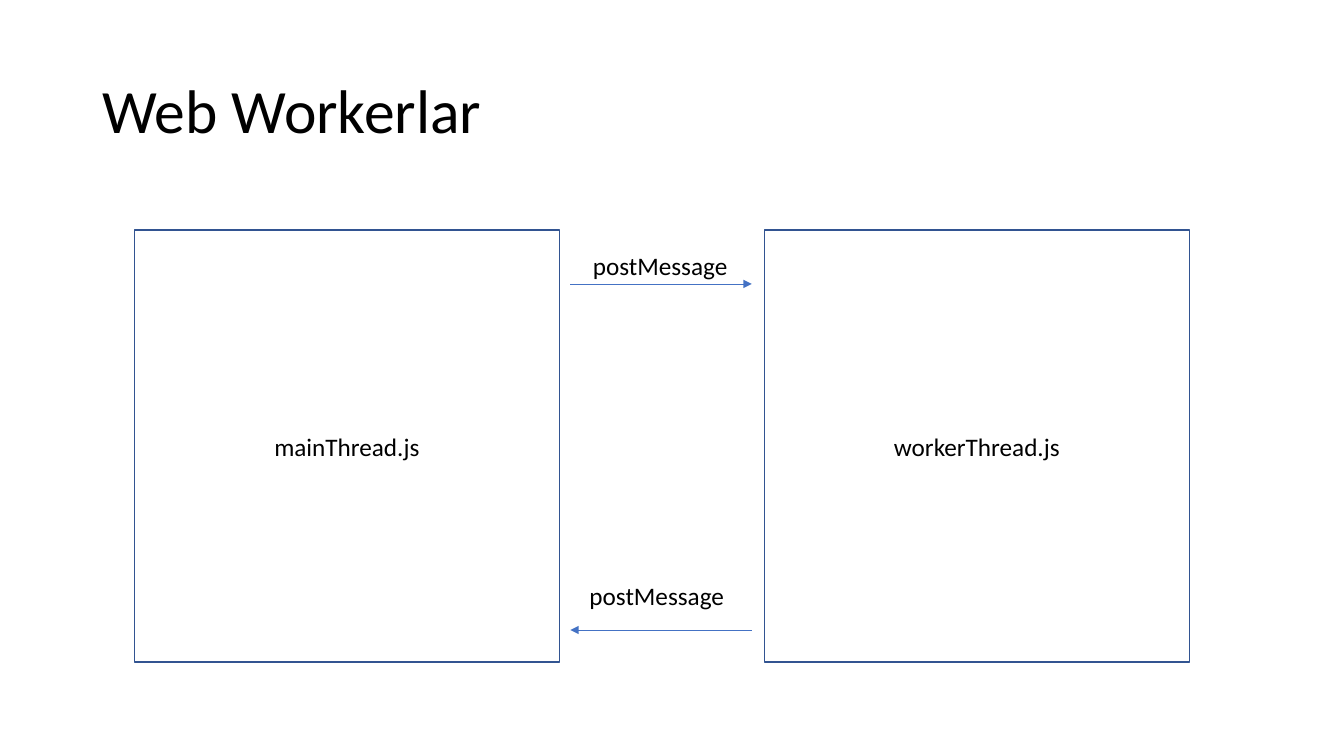
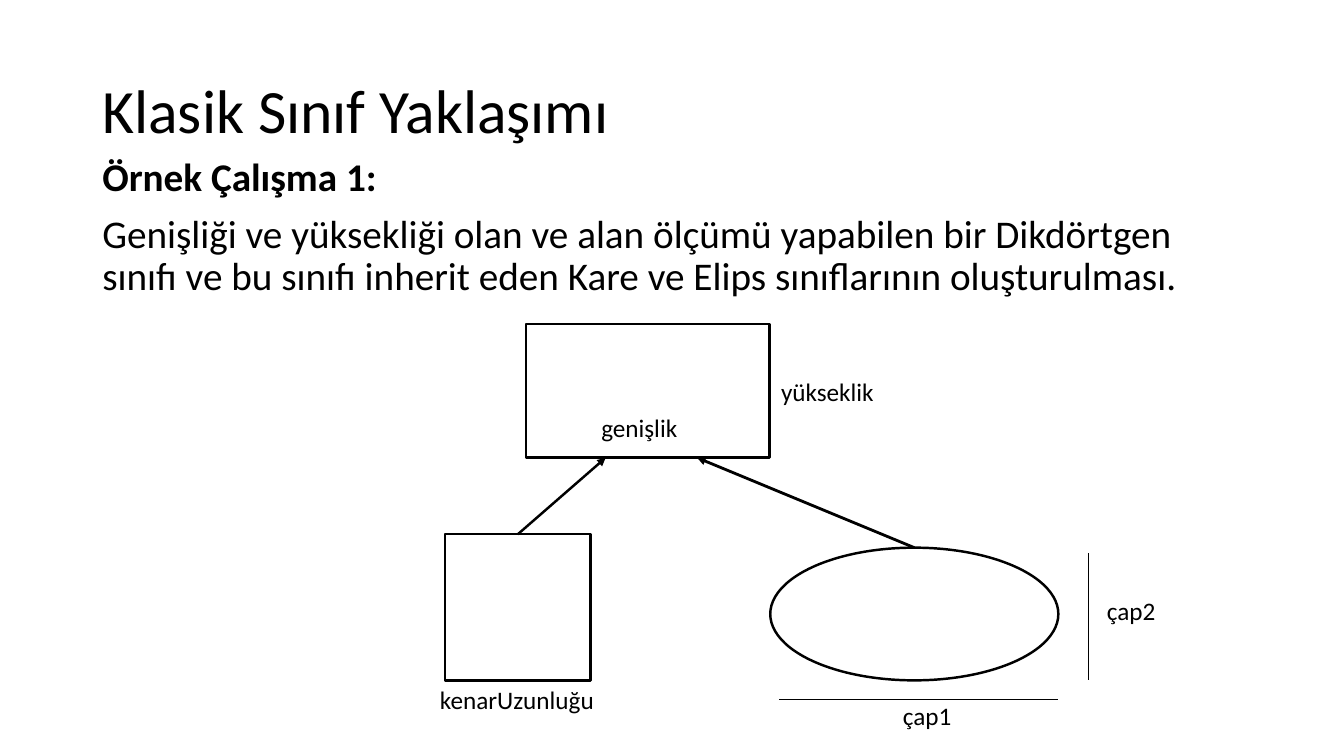
from dataclasses import dataclass

from lxml import etree
from pptx import Presentation
from pptx.dml.color import RGBColor
from pptx.enum import shapes, text
from pptx.oxml import ns
from pptx.util import Emu, Inches, Pt

# Shared style
FONT = "Calibri"
BLACK, NAVY, BLUE = "000000", "325491", "4472C4"
TITLE_SIZE, BODY_SIZE, LABEL_SIZE = 44, 28, 18
LABEL_ROWS = 4.8
THIN, THICK = 0.5, 1.75

# Grid of square cells, 160 columns by 90 rows
COLUMNS, ROWS = 160, 90
presentation = Presentation()
presentation.slide_width = Inches(13.33)
presentation.slide_height = Inches(7.5)


@dataclass(frozen=True)
class Box:
    column: float
    row: float
    columns: float
    rows: float

    @property
    def top_centre(self) -> tuple[float, float]:
        return self.column + self.columns / 2, self.row


@dataclass(frozen=True)
class Outline:
    box: Box
    kind: shapes.MSO_SHAPE = shapes.MSO_SHAPE.RECTANGLE
    color: str = BLACK
    width: float = THICK
    caption: str = ""


@dataclass(frozen=True)
class Line:
    start: tuple[float, float]
    end: tuple[float, float]
    color: str = BLACK
    width: float = THIN
    arrow: bool = False


@dataclass(frozen=True)
class Label:
    words: str
    column: float
    row: float
    columns: float


TITLE_BOX = Box(11, 4.8, 138, 17.4)
BODY_BOX = Box(11, 18.2, 138, 57.1)


# Helpers
def x(columns: float) -> Emu:
    return Emu(round(presentation.slide_width * columns / COLUMNS))


def y(rows: float) -> Emu:
    return Emu(round(presentation.slide_height * rows / ROWS))


def place(box: Box) -> tuple[Emu, Emu, Emu, Emu]:
    return x(box.column), y(box.row), x(box.columns), y(box.rows)


def rgb(color: str) -> RGBColor:
    return RGBColor.from_string(color)


def add_run(paragraph, words: str, size: float, bold: bool = False) -> None:
    run = paragraph.add_run()
    run.text = words
    run.font.name = FONT
    run.font.size = Pt(size)
    run.font.bold = bold
    run.font.color.rgb = rgb(BLACK)


def style_line(line, color: str, width: float) -> None:
    line.color.rgb = rgb(color)
    line.width = Pt(width)


# Drawing functions
def add_slide(title: str):
    slide = presentation.slides.add_slide(presentation.slide_layouts[6])
    frame = slide.shapes.add_textbox(*place(TITLE_BOX)).text_frame
    frame.word_wrap = True
    frame.vertical_anchor = text.MSO_ANCHOR.MIDDLE
    frame.paragraphs[0].line_spacing = 0.9
    add_run(frame.paragraphs[0], title, TITLE_SIZE)
    return slide


def add_body(slide, heading: str, description: str) -> None:
    frame = slide.shapes.add_textbox(*place(BODY_BOX)).text_frame
    frame.word_wrap = True
    add_run(frame.paragraphs[0], heading, BODY_SIZE, bold=True)
    add_run(frame.add_paragraph(), description, BODY_SIZE)
    for paragraph in frame.paragraphs:
        paragraph.line_spacing = 0.9
        paragraph.space_before = Pt(10)


def add_outline(slide, outline: Outline) -> None:
    shape = slide.shapes.add_shape(outline.kind, *place(outline.box))
    shape.shadow.inherit = False
    shape.fill.background()
    style_line(shape.line, outline.color, outline.width)
    if outline.caption:
        shape.text_frame.vertical_anchor = text.MSO_ANCHOR.MIDDLE
        paragraph = shape.text_frame.paragraphs[0]
        paragraph.alignment = text.PP_ALIGN.CENTER
        add_run(paragraph, outline.caption, LABEL_SIZE)


def add_line(slide, line: Line) -> None:
    (start_x, start_y), (end_x, end_y) = line.start, line.end
    connector = slide.shapes.add_connector(
        shapes.MSO_CONNECTOR.STRAIGHT, x(start_x), y(start_y), x(end_x), y(end_y))
    style_line(connector.line, line.color, line.width)
    properties = connector._element.spPr
    if line.arrow:
        stroke = properties.find(ns.qn("a:ln"))
        etree.SubElement(stroke, ns.qn("a:tailEnd"), type="triangle")
    etree.SubElement(properties, ns.qn("a:effectLst"))


def add_label(slide, label: Label) -> None:
    box = Box(label.column, label.row, label.columns, LABEL_ROWS)
    frame = slide.shapes.add_textbox(*place(box)).text_frame
    frame.word_wrap = False
    frame.auto_size = text.MSO_AUTO_SIZE.SHAPE_TO_FIT_TEXT
    add_run(frame.paragraphs[0], label.words, LABEL_SIZE)


def add_diagram(slide, outlines: list[Outline], lines: list[Line],
                labels: list[Label]) -> None:
    for outline in outlines:
        add_outline(slide, outline)
    for line in lines:
        add_line(slide, line)
    for label in labels:
        add_label(slide, label)


# Slide 1: messages between two threads
GAP_LEFT, GAP_RIGHT = 67.9, 89.5
SEND_ROW, REPLY_ROW = 33.8, 75
add_diagram(
    add_slide("Web Workerlar"),
    [Outline(Box(column, 27.4, 50.6, 51.4), color=NAVY, width=1, caption=caption)
     for column, caption in ((16, "mainThread.js"), (91, "workerThread.js"))],
    [Line((GAP_LEFT, SEND_ROW), (GAP_RIGHT, SEND_ROW), BLUE, arrow=True),
     Line((GAP_RIGHT, REPLY_ROW), (GAP_LEFT, REPLY_ROW), BLUE, arrow=True)],
    [Label("postMessage", 69.4, 29.2, 18.6),
     Label("postMessage", 69, 68.5, 18.6)],
)

# Slide 2: rectangle class with its two subclasses
rectangle = Box(62.6, 38.6, 29, 15.9)
ellipse = Box(91.7, 65.2, 34.3, 15.8)
square = Box(53, 63.6, 17.3, 17.4)
rectangle_bottom = rectangle.row + rectangle.rows

class_slide = add_slide("Klasik Sınıf Yaklaşımı")
add_body(
    class_slide,
    "Örnek Çalışma 1:",
    "Genişliği ve yüksekliği olan ve alan ölçümü yapabilen bir Dikdörtgen "
    "sınıfı ve bu sınıfı inherit eden Kare ve Elips sınıflarının oluşturulması.",
)
add_diagram(
    class_slide,
    [Outline(rectangle),
     Outline(ellipse, shapes.MSO_SHAPE.OVAL),
     Outline(square)],
    [Line(square.top_centre, (72.1, rectangle_bottom), width=THICK, arrow=True),
     Line(ellipse.top_centre, (83, rectangle_bottom), width=2, arrow=True),
     Line((92.8, 83.3), (126, 83.3)),
     Line((129.6, 80.9), (129.6, 65.8))],
    [Label("çap1", 106.3, 82.8, 8.3),
     Label("çap2", 130.6, 70.3, 8.3),
     Label("kenarUzunluğu", 51.2, 80.9, 21),
     Label("yükseklik", 91.8, 44.2, 13.6),
     Label("genişlik", 70.4, 48.5, 11.5)],
)

presentation.save("out.pptx")
